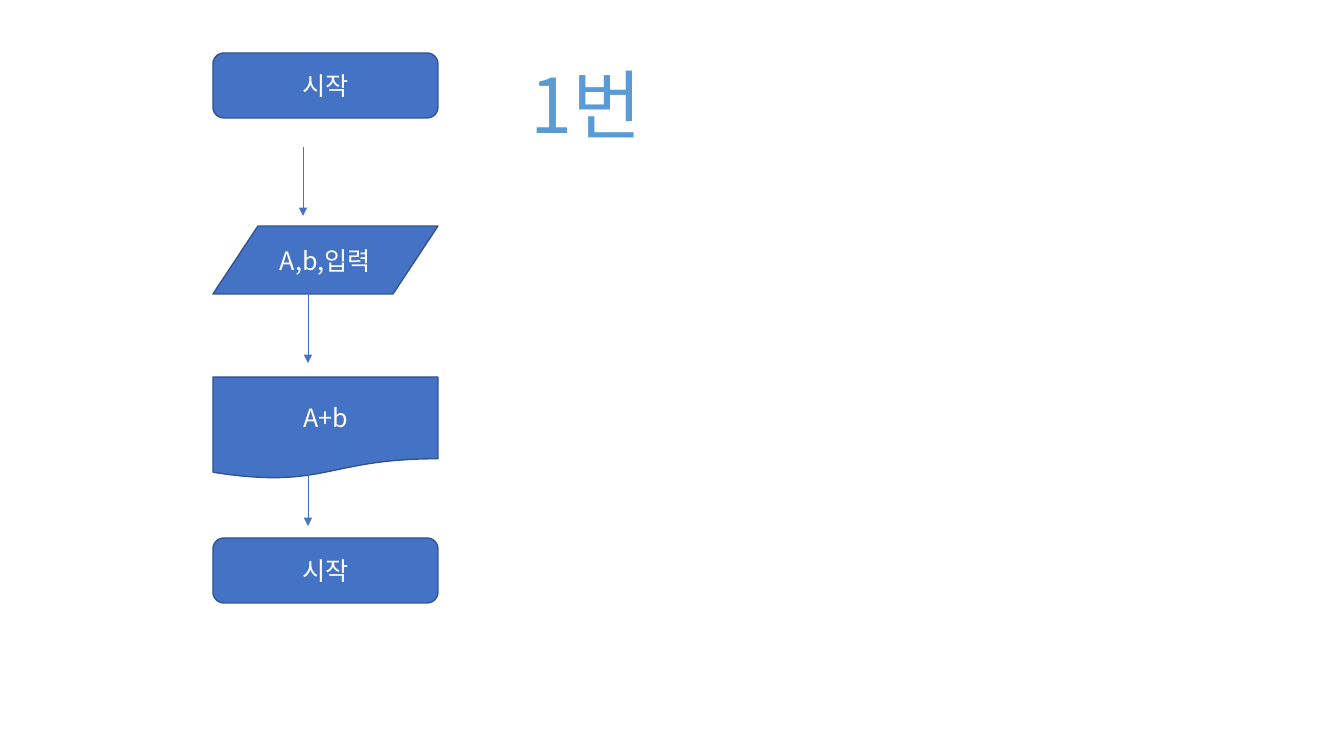
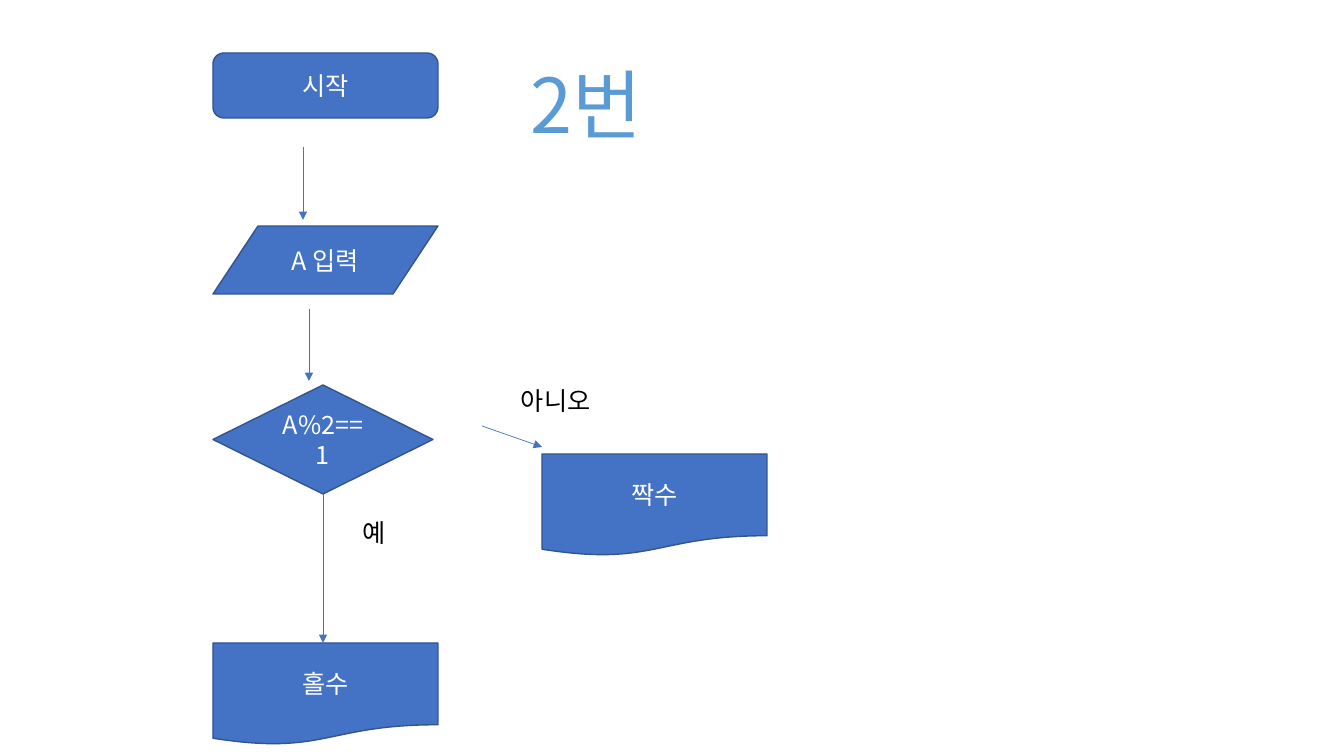
from lxml import etree
from pptx import Presentation, util as u
from pptx.dml.color import RGBColor
from pptx.enum import shapes as s, text as t
from pptx.oxml import parse_xml
from pptx.oxml.ns import qn

HUES = {"fill": "4472C4", "edge": "325491", "white": "FFFFFF", "black": "000000",
        "dark": "1F4E79", "mid": "5B9BD5", "pale": "9DC3E6"}
FONT = "Noto Sans CJK KR"
MAIN = "http://schemas.openxmlformats.org/drawingml/2006/main"
KIND = s.MSO_SHAPE
TERM, INPUT, DOC, TEST = (KIND.FLOWCHART_ALTERNATE_PROCESS, KIND.FLOWCHART_DATA,
                          KIND.FLOWCHART_DOCUMENT, KIND.DIAMOND)
MID, LEFT = t.PP_ALIGN.CENTER, t.PP_ALIGN.LEFT
SIZES = {TERM: (225, 65), INPUT: (225, 68), DOC: (225, 102), TEST: (220, 109)}


def px(*nums):
    return [round(n * 914400 / 100.8) for n in nums]


def rgb(hue):
    return RGBColor.from_string(HUES[hue])


def put(item, form):
    for name, value in form.items():
        setattr(item, name, value)


def write(frame, words, align, size, hue):
    para = frame.paragraphs[0]
    para.alignment = align
    run = para.add_run()
    run.text = words
    put(run.font, {"size": u.Pt(size), "name": FONT})
    run.font.fill.solid()
    run.font.fill.fore_color.rgb = rgb(hue)
    etree.SubElement(run.font._element, qn("a:ea"), typeface=FONT)
    return run


def step(slide, kind, words, left, top):
    shape = slide.shapes.add_shape(kind, *px(left, top, *SIZES[kind]))
    shape.shadow.inherit = False
    shape.fill.solid()
    shape.fill.fore_color.rgb = rgb("fill")
    shape.line.color.rgb = rgb("edge")
    shape.line.width = u.Pt(1)
    put(shape.text_frame, {"word_wrap": True, "vertical_anchor": t.MSO_ANCHOR.MIDDLE})
    write(shape.text_frame, words, MID, 18, "white")


def arrow(slide, left, top, wide, high):
    line = slide.shapes.add_connector(
        s.MSO_CONNECTOR.STRAIGHT, *px(left, top, left + wide, top + high))
    put(line.line, {"width": u.Pt(0.5)})
    line.line.color.rgb = rgb("fill")
    etree.SubElement(line.line._get_or_add_ln(), qn("a:tailEnd"), type="triangle")
    etree.SubElement(line._element.spPr, qn("a:effectLst"))


def label(slide, words, box, align=LEFT, size=18, hue="black"):
    frame = slide.shapes.add_textbox(*px(*box)).text_frame
    put(frame, {"word_wrap": True, "auto_size": t.MSO_AUTO_SIZE.SHAPE_TO_FIT_TEXT})
    return write(frame, words, align, size, hue)


def title(slide, words):
    run = label(slide, words, (517, 53, 139, 102), MID, 54, "mid")
    stops = "".join(
        f'<a:gs pos="{at * 1000}"><a:srgbClr val="{HUES[hue]}"/></a:gs>'
        for at, hue in ((0, "dark"), (50, "mid"), (100, "pale")))
    fade = parse_xml(f'<a:gradFill xmlns:a="{MAIN}"><a:gsLst>{stops}</a:gsLst>'
                     '<a:lin ang="5400000" scaled="0"/></a:gradFill>')
    props = run.font._element
    props.replace(props.find(qn("a:solidFill")), fade)


def flow(deck, name, steps, arrows, notes=()):
    slide = deck.slides.add_slide(deck.slide_layouts[6])
    left, top = 213, 53
    for kind, words, dx, dy in steps:
        step(slide, kind, words, left + dx, top + dy)
    for dx, dy, wide, high in arrows:
        arrow(slide, left + dx, top + dy, wide, high)
    for words, dx, dy, wide in notes:
        label(slide, words, (left + dx, top + dy, wide, 40))
    title(slide, name)


deck = Presentation()
wide, high = px(1344, 756)
put(deck, {"slide_width": wide, "slide_height": high})
flow(deck, "1번",
     [(TERM, "시작", 0, 0), (INPUT, "A,b,입력", 0, 173),
      (DOC, "A+b", 0, 324), (TERM, "시작", 0, 485)],
     [(90, 94, 0, 69), (95, 241, 0, 69), (95, 404, 0, 69)])
flow(deck, "2번",
     [(TERM, "시작", 0, 0), (INPUT, "A 입력", 0, 173), (TEST, "A%2==1", 0, 332),
      (DOC, "홀수", 0, 590), (DOC, "짝수", 329, 401)],
     [(90, 94, 0, 73), (96, 256, 0, 72), (269, 373, 60, 21), (110, 441, 0, 149)],
     [("예", 140, 459, 53), ("아니오", 298, 327, 107)])
deck.save("out.pptx")
